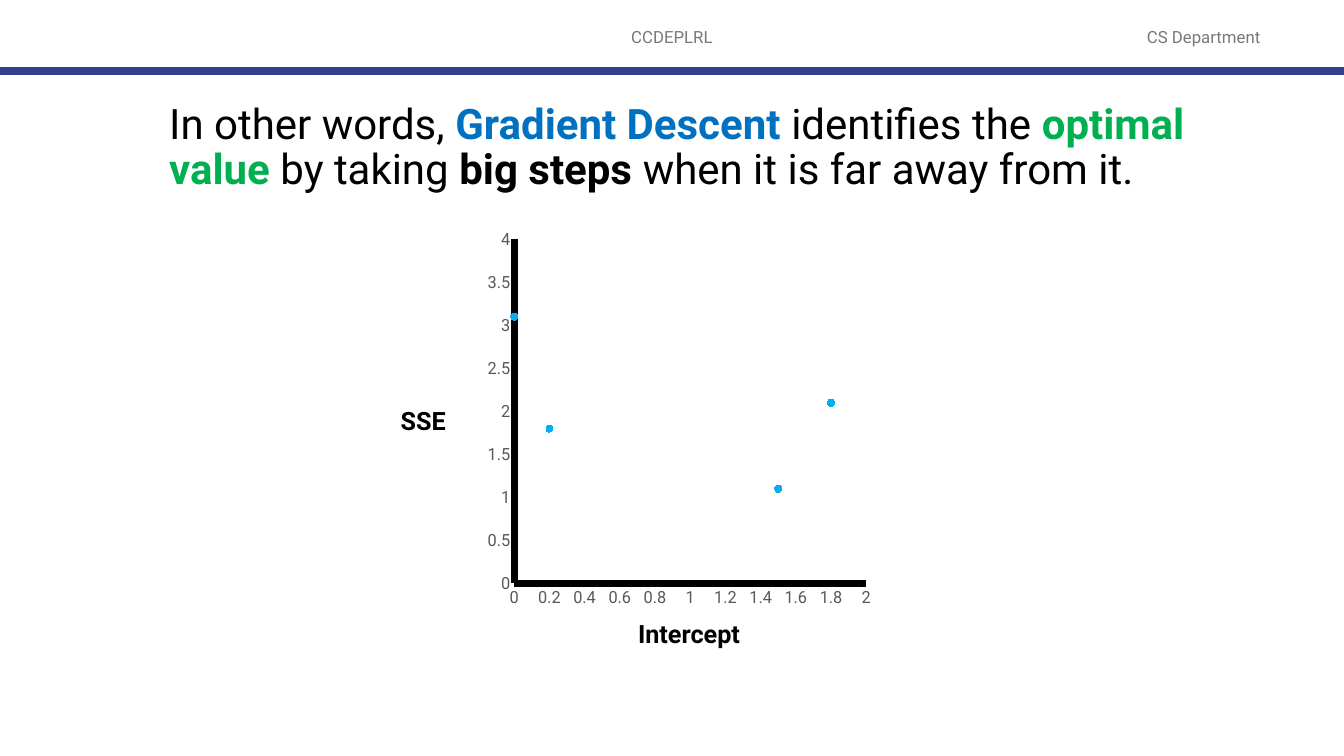
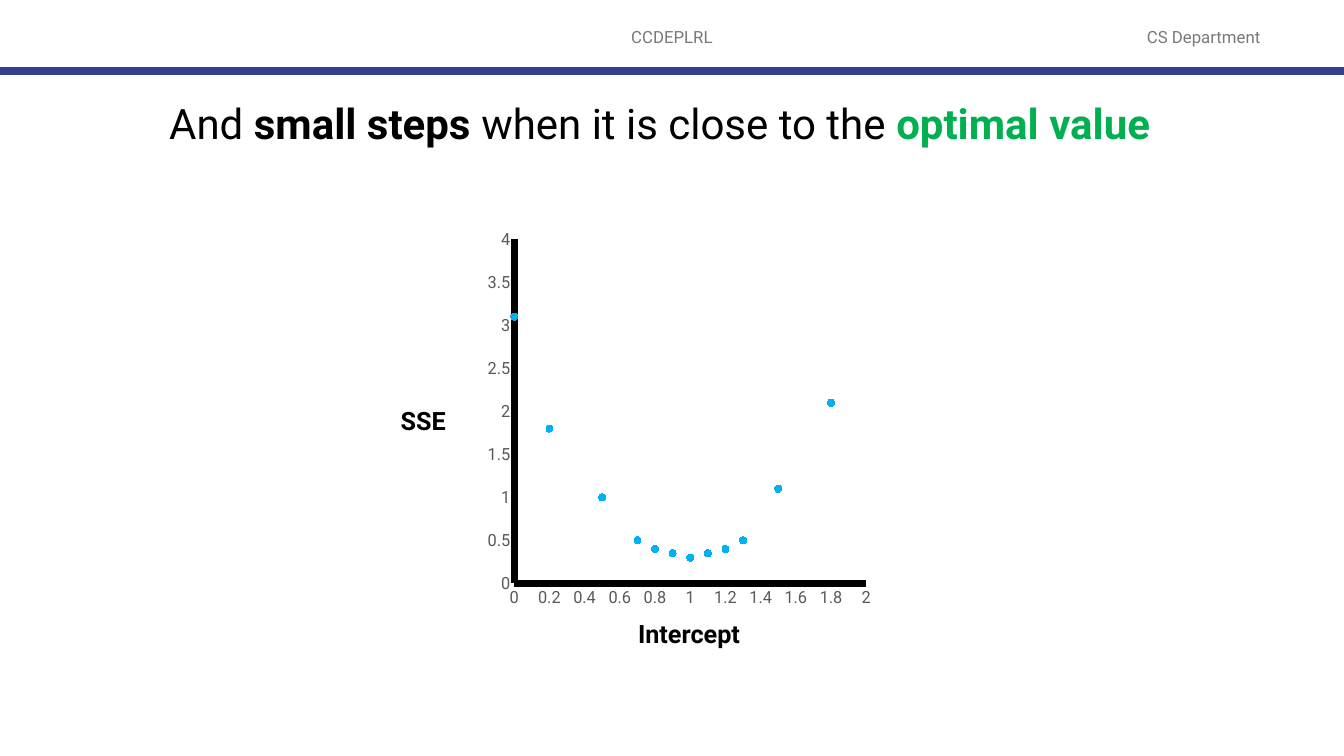
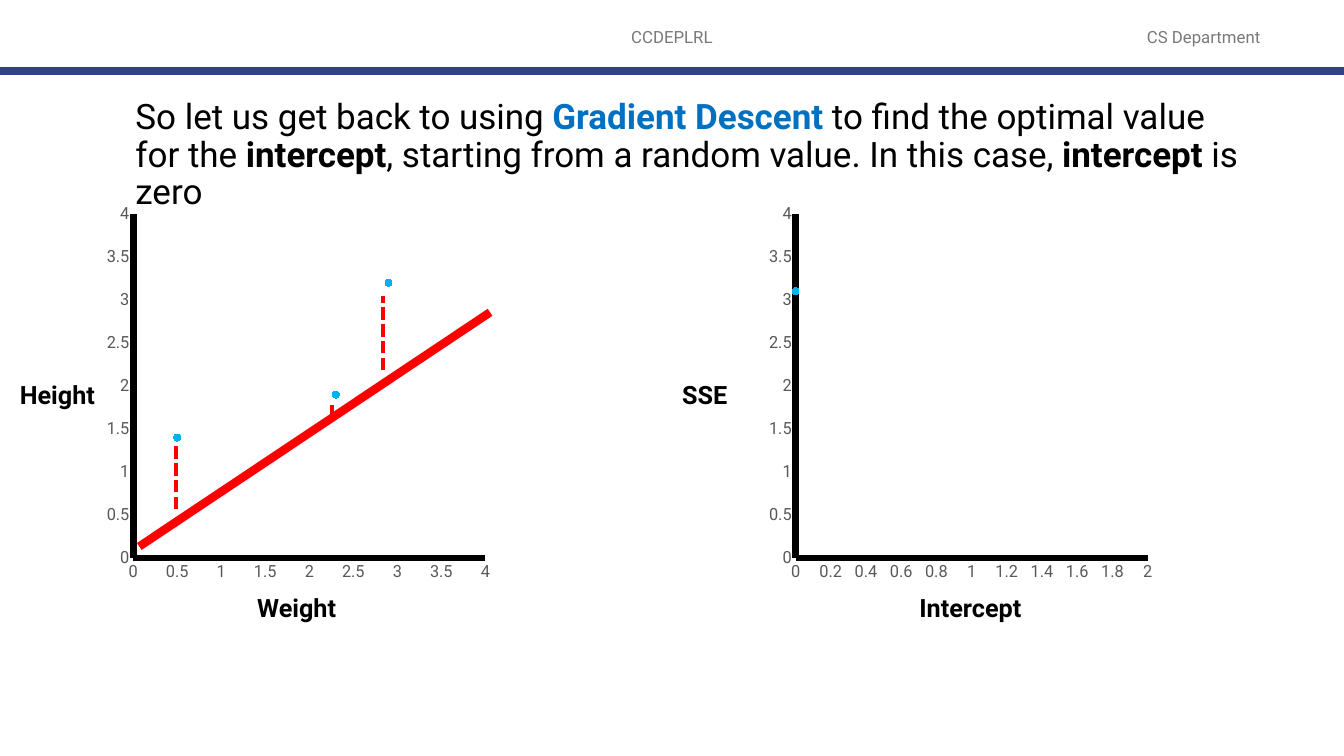
"""Three slides on gradient descent with scatter charts of error and fit."""
from dataclasses import dataclass
from typing import Optional

import pptx
import pptx.chart.chart
import pptx.chart.data
import pptx.dml.color
import pptx.dml.line
import pptx.enum.chart
import pptx.enum.dml
import pptx.enum.shapes
import pptx.enum.text
import pptx.oxml
import pptx.oxml.ns
import pptx.shapes.autoshape
import pptx.shapes.connector
import pptx.slide
import pptx.text.text
import pptx.util

Cm = pptx.util.Cm
Pt = pptx.util.Pt
Align = pptx.enum.text.PP_ALIGN
Anchor = pptx.enum.text.MSO_ANCHOR
AutoSize = pptx.enum.text.MSO_AUTO_SIZE
Slide = pptx.slide.Slide
Points = tuple[tuple[Optional[float], Optional[float]], ...]


@dataclass(frozen=True)
class Theme:
    """Fonts, colours and sizes shared by the slides."""

    font: str = "Roboto"
    ink: str = "000000"
    header: str = "797979"
    rule: str = "32418C"
    tick: str = "595959"
    term: str = "0070C0"
    optimum: str = "00B050"
    point: str = "00B0F0"
    fit: str = "FF0000"
    header_size: int = 12
    tick_size: int = 12
    axis_name_size: int = 18
    chart_size: int = 10
    heading_size: int = 30
    long_heading_size: int = 25
    axis_width: int = 5
    rule_width: int = 6
    residual_width: int = 3
    marker_size: int = 5


THEME = Theme()
SLIDE_WIDTH, SLIDE_HEIGHT = 33.87, 19.05
CHART_WIDTH, CHART_HEIGHT = 9.66, 9.64
Y_NAME_WIDTH = 2.44
RULE_TOP = 1.79


@dataclass(frozen=True)
class Box:
    """A rectangle in centimetres."""

    left: float
    top: float
    width: float
    height: float


@dataclass(frozen=True)
class Words:
    """A run of text with its emphasis."""

    text: str
    bold: bool = False
    color: str = THEME.ink


@dataclass(frozen=True)
class Segment:
    """A straight line in centimetres."""

    x1: float
    y1: float
    x2: float
    y2: float
    color: str
    width: int
    dashed: bool = False


@dataclass(frozen=True)
class Scatter:
    """A scatter chart with its axis names and overlaid lines."""

    left: float
    top: float
    x_name: str
    x_name_width: float
    y_name: str
    x_max: float
    x_step: float
    points: Points
    overlay: tuple[Segment, ...] = ()


@dataclass(frozen=True)
class Page:
    """The content of one slide."""

    heading: tuple[Words, ...]
    heading_box: Box
    heading_size: int
    charts: tuple[Scatter, ...]


def rgb(value: str) -> pptx.dml.color.RGBColor:
    """Turn a hex string into a colour."""
    return pptx.dml.color.RGBColor.from_string(value)


def style_font(font: pptx.text.text.Font, size: int, color: str, bold: bool = False) -> None:
    """Apply the theme font with a size, colour and weight."""
    font.name = THEME.font
    font.size = Pt(size)
    font.bold = bold
    font.color.rgb = rgb(color)


def style_line(line: pptx.dml.line.LineFormat, color: str, width: int) -> None:
    """Give a line its colour and width."""
    line.color.rgb = rgb(color)
    line.width = Pt(width)


def add_label(slide: Slide, box: Box, words: Words, size: int) -> pptx.shapes.autoshape.Shape:
    """Add a one-run text box."""
    label = slide.shapes.add_textbox(Cm(box.left), Cm(box.top), Cm(box.width), Cm(box.height))
    label.text_frame.word_wrap = True
    run = label.text_frame.paragraphs[0].add_run()
    run.text = words.text
    style_font(run.font, size, words.color, words.bold)
    return label


def add_segment(slide: Slide, segment: Segment) -> pptx.shapes.connector.Connector:
    """Draw a straight line without shadow."""
    drawn = slide.shapes.add_connector(
        pptx.enum.shapes.MSO_CONNECTOR.STRAIGHT,
        Cm(segment.x1), Cm(segment.y1), Cm(segment.x2), Cm(segment.y2),
    )
    style_line(drawn.line, segment.color, segment.width)
    if segment.dashed:
        drawn.line.dash_style = pptx.enum.dml.MSO_LINE.SQUARE_DOT
    drawn.element.spPr.append(pptx.oxml.parse_xml(f"<a:effectLst {pptx.oxml.ns.nsdecls('a')}/>"))
    return drawn


def move_header_to_layout(slide: Slide) -> None:
    """Build the running header and place it on the slide's layout."""
    layout = slide.slide_layout
    for placeholder in list(layout.placeholders):
        if placeholder.placeholder_format.type != pptx.enum.shapes.PP_PLACEHOLDER.TITLE:
            layout.shapes.element.remove(placeholder.element)
    header = []
    for text, left, width in (("CCDEPLRL", 11.22, 11.43), ("CS Department", 27.73, 5.21)):
        label = add_label(
            slide, Box(left, 0.43, width, 1.02), Words(text, color=THEME.header), THEME.header_size
        )
        label.text_frame.vertical_anchor = Anchor.MIDDLE
        label.text_frame.paragraphs[0].alignment = Align.CENTER
        header.append(label)
    header.append(add_segment(
        slide, Segment(0, RULE_TOP, SLIDE_WIDTH, RULE_TOP, THEME.rule, THEME.rule_width)
    ))
    for part in header:
        layout.shapes.element.append(part.element)


def fill_heading(slide: Slide, page: Page) -> None:
    """Place and write the slide title."""
    heading, box = slide.shapes.title, page.heading_box
    heading.left, heading.top = Cm(box.left), Cm(box.top)
    heading.width, heading.height = Cm(box.width), Cm(box.height)
    frame = heading.text_frame
    frame.word_wrap = True
    frame.auto_size = AutoSize.NONE
    frame.vertical_anchor = Anchor.TOP
    paragraph = frame.paragraphs[0]
    paragraph.alignment = Align.LEFT
    paragraph.line_spacing = 0.9
    paragraph.space_before = Pt(0)
    for words in page.heading:
        run = paragraph.add_run()
        run.text = words.text
        style_font(run.font, page.heading_size, words.color, words.bold)


def clear_background(chart: pptx.chart.chart.Chart) -> None:
    """Make the chart area transparent."""
    chart.element.find(pptx.oxml.ns.qn("c:chart")).addnext(pptx.oxml.parse_xml(
        f"<c:spPr {pptx.oxml.ns.nsdecls('c', 'a')}><a:noFill/><a:ln><a:noFill/></a:ln></c:spPr>"
    ))


def drop_empty_points(chart: pptx.chart.chart.Chart) -> None:
    """Leave the gaps in the data without a stored value."""
    for point in list(chart.element.iter(pptx.oxml.ns.qn("c:pt"))):
        if point.findtext(pptx.oxml.ns.qn("c:v")) in ("None", "", None):
            point.getparent().remove(point)


def fix_plot_area(chart: pptx.chart.chart.Chart) -> None:
    """Set the inner plot area as shares of the chart."""
    plot_area = chart.element.find(".//" + pptx.oxml.ns.qn("c:plotArea"))
    for automatic in plot_area.findall(pptx.oxml.ns.qn("c:layout")):
        plot_area.remove(automatic)
    shares = "".join(
        f'<c:{key} val="{value}"/>'
        for key, value in (("x", 0.069), ("y", 0.027), ("w", 0.945), ("h", 0.9))
    )
    plot_area.insert(0, pptx.oxml.parse_xml(
        f"<c:layout {pptx.oxml.ns.nsdecls('c')}><c:manualLayout>"
        '<c:layoutTarget val="inner"/><c:xMode val="edge"/><c:yMode val="edge"/>'
        f"{shares}</c:manualLayout></c:layout>"
    ))


def add_scatter(slide: Slide, scatter: Scatter) -> None:
    """Add a scatter chart, its axis names and its overlay."""
    data = pptx.chart.data.XyChartData()
    series_data = data.add_series("Series 1")
    for x, y in scatter.points:
        series_data.add_data_point(x, y)
    chart = slide.shapes.add_chart(
        pptx.enum.chart.XL_CHART_TYPE.XY_SCATTER,
        Cm(scatter.left), Cm(scatter.top), Cm(CHART_WIDTH), Cm(CHART_HEIGHT), data,
    ).chart
    drop_empty_points(chart)
    chart.has_title = False
    chart.has_legend = False
    style_font(chart.font, THEME.chart_size, THEME.ink)
    for axis, maximum, step in (
        (chart.category_axis, scatter.x_max, scatter.x_step),
        (chart.value_axis, 4, 0.5),
    ):
        axis.minimum_scale, axis.maximum_scale, axis.major_unit = 0, maximum, step
        axis.has_major_gridlines = False
        axis.major_tick_mark = axis.minor_tick_mark = pptx.enum.chart.XL_TICK_MARK.NONE
        style_font(axis.tick_labels.font, THEME.tick_size, THEME.tick)
        style_line(axis.format.line, THEME.ink, THEME.axis_width)
    plot = chart.plots[0]
    plot.vary_by_categories = False
    series = plot.series[0]
    series.format.line.fill.background()
    series.marker.style = pptx.enum.chart.XL_MARKER_STYLE.CIRCLE
    series.marker.size = THEME.marker_size
    series.marker.format.fill.solid()
    series.marker.format.fill.fore_color.rgb = rgb(THEME.point)
    series.marker.format.line.color.rgb = rgb(THEME.point)
    clear_background(chart)
    fix_plot_area(chart)

    x_box = Box(scatter.left + 3.54, scatter.top + 9.68, scatter.x_name_width, 1.03)
    y_box = Box(scatter.left - Y_NAME_WIDTH, scatter.top + 4.31, Y_NAME_WIDTH, 1.03)
    for name, box in ((scatter.x_name, x_box), (scatter.y_name, y_box)):
        label = add_label(slide, box, Words(name, bold=True), THEME.axis_name_size)
        label.text_frame.auto_size = AutoSize.SHAPE_TO_FIT_TEXT
    for segment in scatter.overlay:
        add_segment(slide, segment)


def error_chart(left: float, top: float, points: Points) -> Scatter:
    """Describe a chart of squared error against intercept."""
    return Scatter(left, top, "Intercept", 3.43, "SSE", 2, 0.2, points)


def residual(x: float, bottom: float, top: float) -> Segment:
    """Describe a dashed vertical distance to the fitted line."""
    return Segment(x, bottom, x, top, THEME.fit, THEME.residual_width, dashed=True)


START = (0, 3.1)
GAP = (None, None)
BIG_STEPS_LEFT = (START, (0.2, 1.8))
BIG_STEPS_RIGHT = ((1.5, 1.1), (1.8, 2.1))
SMALL_STEPS = (
    (0.5, 1), (0.7, 0.5), (0.8, 0.4), GAP, (0.9, 0.35), (1, 0.3),
    (1.1, 0.35), GAP, (1.2, 0.4), (1.3, 0.5),
)

HEIGHT_BY_WEIGHT = Scatter(
    2.69, 5.13, "Weight", 2.59, "Height", 4, 0.5,
    ((0.5, 1.4), (2.3, 1.9), (2.9, 3.2)),
    (
        Segment(12.35, 7.87, 3.51, 13.77, THEME.fit, THEME.rule_width),
        residual(4.43, 12.83, 11.15),
        residual(9.65, 9.33, 7.45),
        residual(8.36, 10.52, 10.19),
    ),
)

PAGES = (
    Page(
        (
            Words("In other words, "),
            Words("Gradient Descent ", True, THEME.term),
            Words("identifies the "),
            Words("optimal value", True, THEME.optimum),
            Words(" by taking "),
            Words("big steps ", True),
            Words("when it is far away from it."),
        ),
        Box(4.01, 2.47, 26.21, 2.31),
        THEME.heading_size,
        (error_chart(12.29, 5.77, BIG_STEPS_LEFT + (GAP,) * 4 + BIG_STEPS_RIGHT),),
    ),
    Page(
        (
            Words("And "),
            Words("small steps ", True),
            Words("when it is close to the "),
            Words("optimal value", True, THEME.optimum),
        ),
        Box(4.01, 2.47, 25.86, 2.31),
        THEME.heading_size,
        (error_chart(12.29, 5.77, BIG_STEPS_LEFT + SMALL_STEPS + BIG_STEPS_RIGHT),),
    ),
    Page(
        (
            Words("So let us get back to using "),
            Words("Gradient Descent ", True, THEME.term),
            Words("to find the optimal value for the "),
            Words("intercept", True),
            Words(", starting from a random value. In this case, "),
            Words("intercept", True),
            Words(" is zero"),
        ),
        Box(3.16, 2.37, 28.47, 2.41),
        THEME.long_heading_size,
        (HEIGHT_BY_WEIGHT, error_chart(19.38, 5.13, (START,))),
    ),
)


def main() -> None:
    """Build and save the presentation."""
    deck = pptx.Presentation()
    deck.slide_width, deck.slide_height = Cm(SLIDE_WIDTH), Cm(SLIDE_HEIGHT)
    title_only = deck.slide_layouts[5]
    for number, page in enumerate(PAGES):
        slide = deck.slides.add_slide(title_only)
        if number == 0:
            move_header_to_layout(slide)
        fill_heading(slide, page)
        for scatter in page.charts:
            add_scatter(slide, scatter)
    deck.save("out.pptx")


if __name__ == "__main__":
    main()
